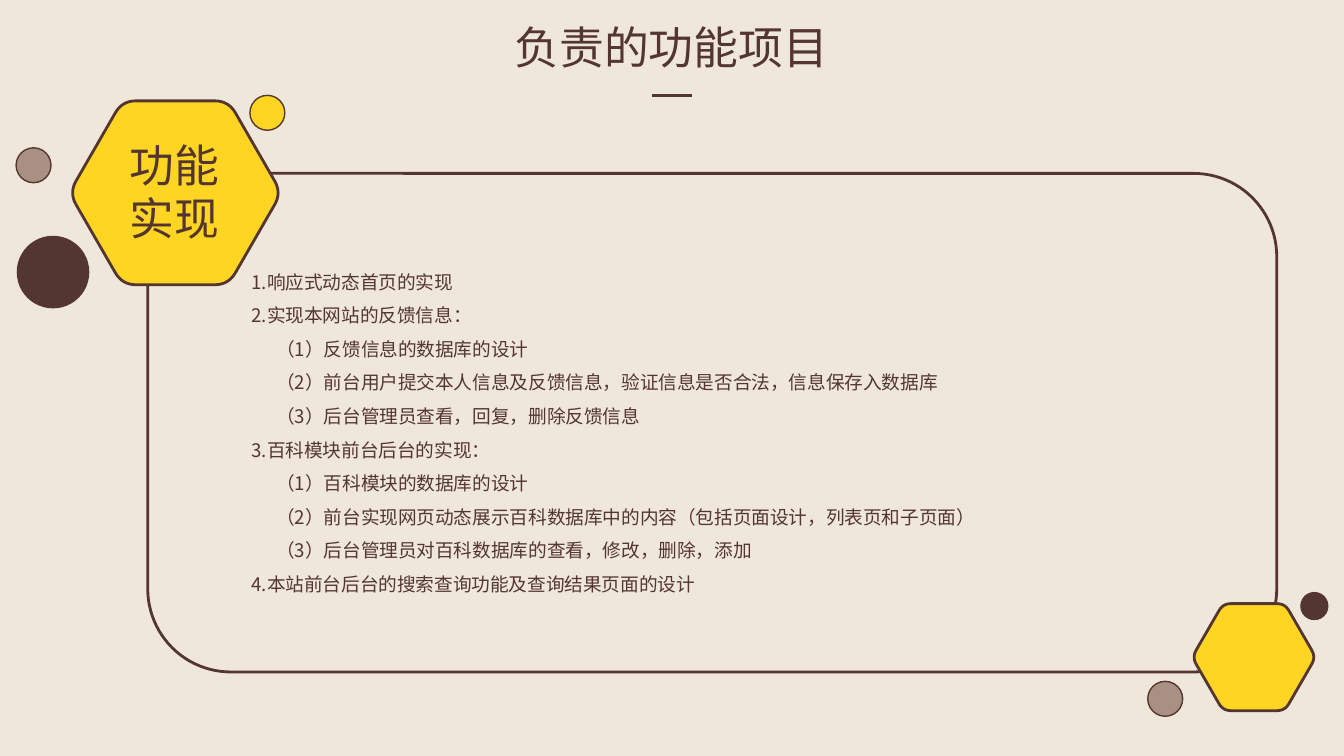
from dataclasses import dataclass
from math import cos, pi, sin
from typing import Optional

from lxml.etree import SubElement
from pptx import Presentation
from pptx.dml.color import RGBColor
from pptx.enum.shapes import MSO_CONNECTOR, MSO_SHAPE
from pptx.enum.text import MSO_ANCHOR, PP_ALIGN
from pptx.oxml.ns import qn
from pptx.util import Inches, Pt

CREAM = RGBColor(0xEF, 0xE7, 0xDA)
BROWN = RGBColor(0x54, 0x36, 0x30)
TAUPE = RGBColor(0xA8, 0x90, 0x82)
YELLOW = RGBColor(0xFF, 0xD5, 0x23)

FONT = "Noto Sans CJK SC"
COLUMNS, ROWS = 100, 56.25
CELL = Inches(10) // COLUMNS
CORNER_SHARE = 0.13
CORNER_STEPS = 8


@dataclass(frozen=True)
class Box:
    column: float
    row: float
    columns: float
    rows: float

    def lengths(self) -> list[int]:
        return [grid(n) for n in (self.column, self.row, self.columns, self.rows)]


@dataclass(frozen=True)
class Dot:
    column: float
    row: float
    diameter: float
    color: RGBColor


@dataclass(frozen=True)
class Hexagon:
    center_column: float
    center_row: float
    radius: float


@dataclass(frozen=True)
class Item:
    text: str
    level: int = 0


DOTS = [
    Dot(1.3, 17.6, 5.3, BROWN),
    Dot(1.2, 11, 2.6, TAUPE),
    Dot(18.6, 7.1, 2.6, YELLOW),
    Dot(85.4, 50.7, 2.6, TAUPE),
    Dot(96.8, 44.1, 2, BROWN),
]
TOPIC_HEXAGON = Hexagon(13.05, 14.35, 7.9)
CORNER_HEXAGON = Hexagon(93.3, 48.9, 4.6)
ITEMS = [
    Item("1.响应式动态首页的实现"),
    Item("2.实现本网站的反馈信息："),
    Item("（1）反馈信息的数据库的设计", 1),
    Item("（2）前台用户提交本人信息及反馈信息，验证信息是否合法，信息保存入数据库", 1),
    Item("（3）后台管理员查看，回复，删除反馈信息", 1),
    Item("3.百科模块前台后台的实现："),
    Item("（1）百科模块的数据库的设计", 1),
    Item("（2）前台实现网页动态展示百科数据库中的内容（包括页面设计，列表页和子页面）", 1),
    Item("（3）后台管理员对百科数据库的查看，修改，删除，添加", 1),
    Item("4.本站前台后台的搜索查询功能及查询结果页面的设计"),
]
LEVEL_INDENTS = (1.24, 3.08)


def grid(count: float) -> int:
    return round(count * CELL)


def style_shape(shape, fill: Optional[RGBColor], line_width: float) -> None:
    shape.shadow.inherit = False
    if fill is None:
        shape.fill.background()
    else:
        shape.fill.solid()
        shape.fill.fore_color.rgb = fill
    shape.line.color.rgb = BROWN
    shape.line.width = Pt(line_width)


def add_dot(slide, dot: Dot) -> None:
    box = Box(dot.column, dot.row, dot.diameter, dot.diameter)
    shape = slide.shapes.add_shape(MSO_SHAPE.OVAL, *box.lengths())
    style_shape(shape, dot.color, 0.75)


def rounded_outline(hexagon: Hexagon) -> list[tuple[int, int]]:
    corners = [
        (hexagon.center_column + hexagon.radius * cos(k * pi / 3),
         hexagon.center_row + hexagon.radius * sin(k * pi / 3))
        for k in range(6)
    ]
    points = []
    for k, corner in enumerate(corners):
        before, after = corners[k - 1], corners[(k + 1) % 6]
        for step in range(CORNER_STEPS + 1):
            t = step / CORNER_STEPS
            toward_before = CORNER_SHARE * (1 - t) ** 2
            toward_after = CORNER_SHARE * t ** 2
            points.append(tuple(
                grid(c + toward_before * (b - c) + toward_after * (a - c))
                for b, c, a in zip(before, corner, after)
            ))
    return points


def add_hexagon(slide, hexagon: Hexagon) -> None:
    start, *others = rounded_outline(hexagon)
    builder = slide.shapes.build_freeform(*start)
    builder.add_line_segments(others, close=True)
    style_shape(builder.convert_to_shape(), YELLOW, 1.5)


def add_text(slide, items: list[Item], box: Box, *, size: float,
             align: PP_ALIGN = PP_ALIGN.LEFT, anchor: MSO_ANCHOR = MSO_ANCHOR.MIDDLE,
             wrap: bool = True, spacing: Optional[Pt] = None,
             top_inset: float = 0.5, indents: tuple[float, ...] = (0,)) -> None:
    frame = slide.shapes.add_textbox(*box.lengths()).text_frame
    frame.word_wrap = wrap
    frame.vertical_anchor = anchor
    frame.margin_top = grid(top_inset)
    for index, item in enumerate(items):
        paragraph = frame.add_paragraph() if index else frame.paragraphs[0]
        paragraph.alignment = align
        if spacing is not None:
            paragraph.line_spacing = spacing
        if indents[item.level]:
            paragraph._p.get_or_add_pPr().set("marL", str(grid(indents[item.level])))
        run = paragraph.add_run()
        run.text = item.text
        run.font.size = Pt(size)
        run.font.color.rgb = BROWN
        run.font.name = FONT
        SubElement(run._r.get_or_add_rPr(), qn("a:ea")).set("typeface", FONT)


def add_title_rule(slide) -> None:
    ends = [grid(n) for n in (48.5, 7.1, 51.5, 7.1)]
    connector = slide.shapes.add_connector(MSO_CONNECTOR.STRAIGHT, *ends)
    connector.line.color.rgb = BROWN
    connector.line.width = Pt(1.5)
    SubElement(connector._element.spPr, qn("a:effectLst"))


def main() -> None:
    presentation = Presentation()
    presentation.slide_width = grid(COLUMNS)
    presentation.slide_height = grid(ROWS)
    slide = presentation.slides.add_slide(presentation.slide_layouts[6])
    slide.background.fill.solid()
    slide.background.fill.fore_color.rgb = CREAM

    add_text(slide, [Item("负责的功能项目")], Box(37.3, 1, 25.3, 5),
             size=24, align=PP_ALIGN.CENTER, wrap=False)
    add_title_rule(slide)
    frame = slide.shapes.add_shape(
        MSO_SHAPE.ROUNDED_RECTANGLE, *Box(11, 12.9, 84, 37.1).lengths())
    style_shape(frame, None, 1.5)
    for dot in DOTS:
        add_dot(slide, dot)
    add_text(slide, ITEMS, Box(16.5, 17.8, 79.6, 27.3), size=10,
             anchor=MSO_ANCHOR.TOP, spacing=Pt(18), top_inset=1.5,
             indents=LEVEL_INDENTS)
    add_hexagon(slide, TOPIC_HEXAGON)
    add_text(slide, [Item("功能实现")], Box(8, 9.7, 10, 9.1), size=24,
             align=PP_ALIGN.CENTER, spacing=Pt(28.4))
    add_hexagon(slide, CORNER_HEXAGON)
    presentation.save("out.pptx")


if __name__ == "__main__":
    main()
